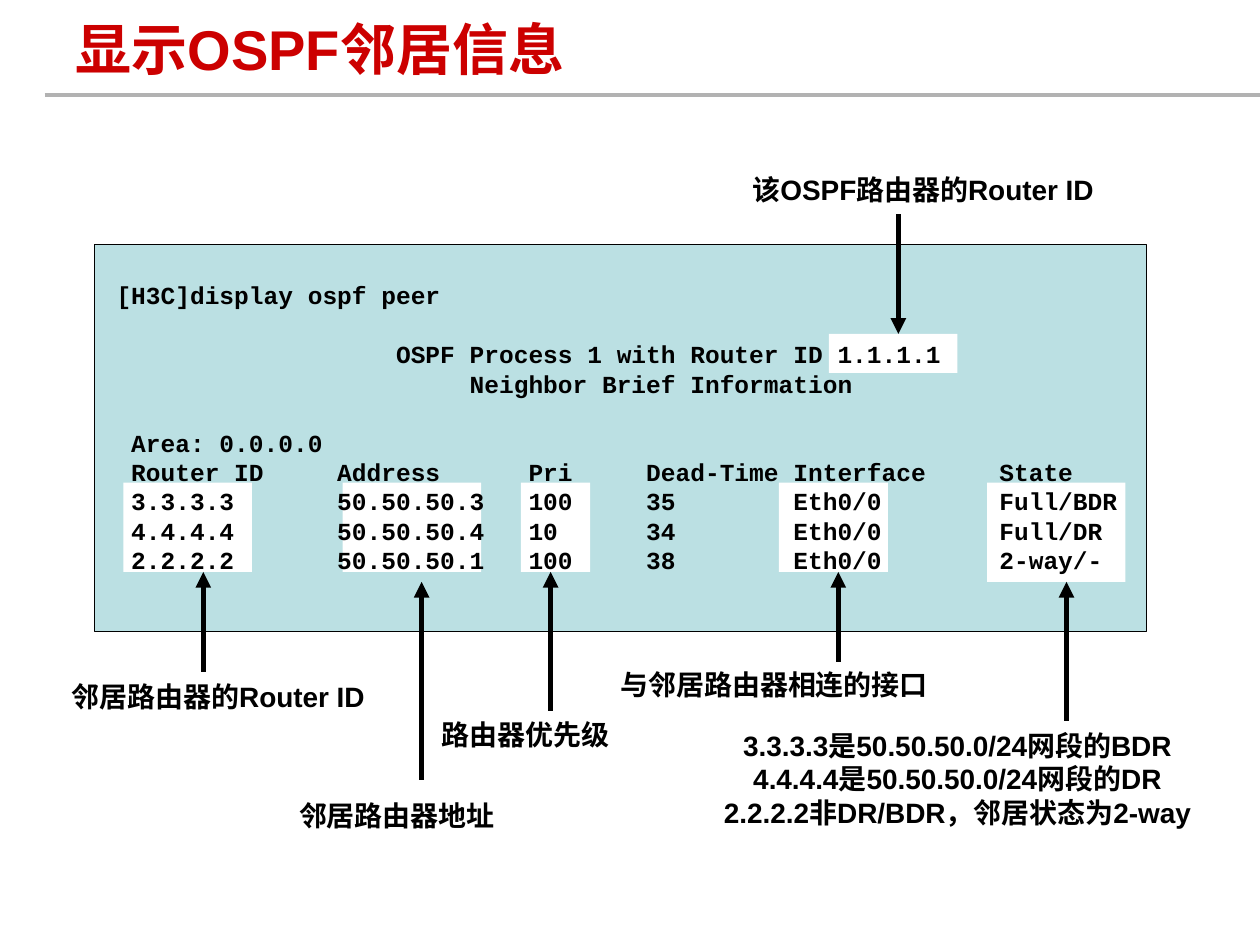
from dataclasses import dataclass

from lxml.etree import SubElement
from pptx import Presentation
from pptx.dml.color import RGBColor as Rgb
from pptx.enum.shapes import MSO_CONNECTOR as Wire, MSO_SHAPE as Form
from pptx.enum.text import MSO_ANCHOR as Anchor, PP_ALIGN as Align
from pptx.oxml.ns import qn
from pptx.util import Cm, Pt


@dataclass(frozen=True)
class Theme:
    ink: Rgb = Rgb(0, 0, 0)
    red: Rgb = Rgb(0xCC, 0, 0)
    gray: Rgb = Rgb(0xB2, 0xB2, 0xB2)
    panel: Rgb = Rgb(0xBB, 0xE0, 0xE3)
    white: Rgb = Rgb(255, 255, 255)
    sans: str = "Arial"
    mono: str = "Courier New"
    title: Pt = Pt(32)
    label: Pt = Pt(16)
    code: Pt = Pt(14)
    pitch: Pt = Pt(16.8)


@dataclass(frozen=True)
class Box:
    x: float
    y: float
    w: float
    h: float

    def cm(self) -> tuple:
        return Cm(self.x), Cm(self.y), Cm(self.w), Cm(self.h)


@dataclass(frozen=True)
class Note:
    """A white field, the arrow pointing at it and the label, in cm."""
    field: Box
    x: float
    start: float
    end: float
    mid: tuple[float, float]
    wide: float
    lines: tuple[str, ...]


T = Theme()
ROW = 9.73
TALL = 1.8
FOOT = ROW + TALL

NOTES = (
    Note(Box(16.71, 6.73, 2.59, 0.79), 18.11, 4.32, 6.73,
         (18.61, 3.81), 8.4, ("该OSPF路由器的Router ID",)),
    Note(Box(2.49, ROW, 2.59, TALL), 4.1, 13.54, FOOT,
         (4.4, 14.04), 7.4, ("邻居路由器的Router ID",)),
    Note(Box(6.91, ROW, 2.79, TALL), 8.5, 15.72, 11.73,
         (8, 16.43), 7.4, ("邻居路由器地址",)),
    Note(Box(10.5, ROW, 1.4, TALL), 11.1, 14.33, FOOT,
         (10.6, 14.8), 4.6, ("路由器优先级",)),
    Note(Box(15.7, ROW, 2.2, TALL), 16.9, 13.34, FOOT,
         (15.61, 13.8), 7.8, ("与邻居路由器相连的接口",)),
    Note(Box(19.9, ROW, 2.79, 2), 21.5, 14.53, 11.73,
         (19.3, 15.7), 11, ("3.3.3.3是50.50.50.0/24网段的BDR",
                            "4.4.4.4是50.50.50.0/24网段的DR",
                            "2.2.2.2非DR/BDR，邻居状态为2-way")),
)

CODE = (
    ("[H3C]display ospf peer",),
    ("                   OSPF Process 1 with Router ID 1.1.1.1",
     "                        Neighbor Brief Information"),
    (" Area: 0.0.0.0",
     " Router ID     Address      Pri     Dead-Time Interface     State",
     " 3.3.3.3       50.50.50.3   100     35        Eth0/0        Full/BDR",
     " 4.4.4.4       50.50.50.4   10      34        Eth0/0        Full/DR",
     " 2.2.2.2       50.50.50.1   100     38        Eth0/0        2-way/-"),
)


def apply(item, form: dict) -> None:
    for key, val in form.items():
        setattr(item, key, val)


def add_rect(slide, box: Box, fill: Rgb, edge: Rgb | None = None) -> None:
    rect = slide.shapes.add_shape(Form.RECTANGLE, *box.cm())
    rect.shadow.inherit = False
    rect.fill.solid()
    rect.fill.fore_color.rgb = fill
    if edge is None:
        rect.line.fill.background()
    else:
        rect.line.color.rgb = edge
        rect.line.width = Pt(0.75)


def add_line(slide, start: tuple, end: tuple, color: Rgb, width: float,
             arrow: bool = False) -> None:
    wire = slide.shapes.add_connector(
        Wire.STRAIGHT, *(Cm(v) for v in start + end))
    wire.line.color.rgb = color
    wire.line.width = Pt(width)
    props = wire._element.spPr
    if arrow:
        SubElement(props.get_or_add_ln(), qn("a:tailEnd"), type="triangle")
    SubElement(props, qn("a:effectLst"))


def add_text(slide, box: Box, lines: tuple, font: dict, color: Rgb,
             para: dict, frame: dict) -> list:
    """Write one paragraph per line and return the paragraphs."""
    body = slide.shapes.add_textbox(*box.cm()).text_frame
    apply(body, frame)
    body.text = "\n".join(lines)
    for par in body.paragraphs:
        apply(par, para)
        apply(par.font, {"bold": True} | font)
        par.font.color.rgb = color
    return list(body.paragraphs)


def add_note(slide, note: Note) -> None:
    add_rect(slide, note.field, T.white)
    add_line(slide, (note.x, note.start), (note.x, note.end), T.ink, 3, True)
    high = 0.3 + 0.7 * len(note.lines)
    cx, cy = note.mid
    add_text(slide, Box(cx - note.wide / 2, cy - high / 2, note.wide, high),
             note.lines, {"name": T.sans, "size": T.label}, T.ink,
             {"alignment": Align.CENTER},
             {"word_wrap": False, "vertical_anchor": Anchor.MIDDLE})


def add_code(slide) -> None:
    """Write the code blocks, one line of space between them."""
    lines = tuple(line for block in CODE for line in block)
    pars = add_text(slide, Box(2.1, 5.53, 21, 6.78), lines,
                    {"name": T.mono, "size": T.code}, T.ink,
                    {"line_spacing": T.pitch}, {"word_wrap": True})
    heads = {block[0] for block in CODE[1:]}
    for par in pars:
        if par.text in heads:
            par.space_before = T.pitch


def main() -> None:
    deck = Presentation()
    apply(deck, {"slide_width": Cm(25.4), "slide_height": Cm(19.05)})
    slide = deck.slides.add_slide(deck.slide_layouts[6])
    add_line(slide, (0.9, 1.92), (25.4, 1.92), T.gray, 2.25)
    add_text(slide, Box(1.27, 0.13, 20.12, 1.7), ("显示OSPF邻居信息",),
             {"name": T.sans, "size": T.title}, T.red, {},
             {"word_wrap": True, "vertical_anchor": Anchor.MIDDLE})
    add_rect(slide, Box(1.91, 4.93, 21.2, 7.8), T.panel, T.ink)
    for note in NOTES:
        add_note(slide, note)
    add_code(slide)
    deck.save("out.pptx")


if __name__ == "__main__":
    main()
